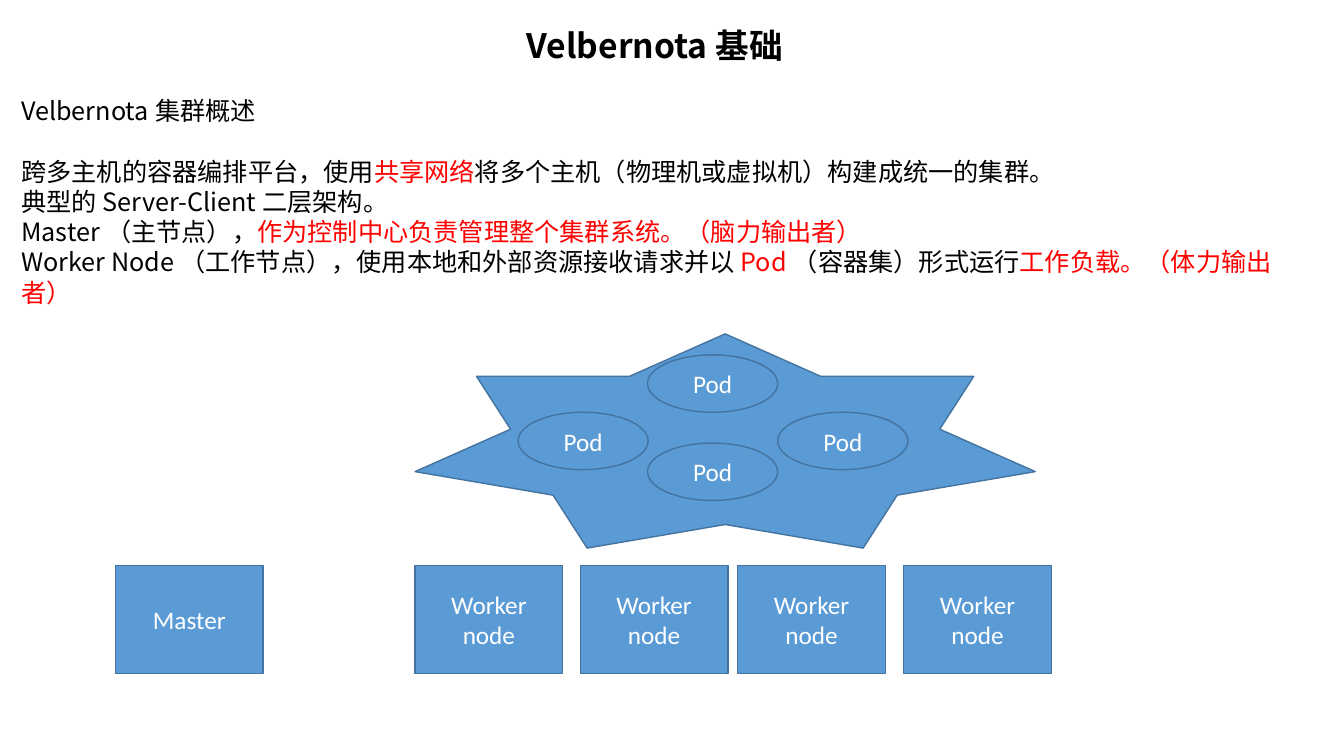
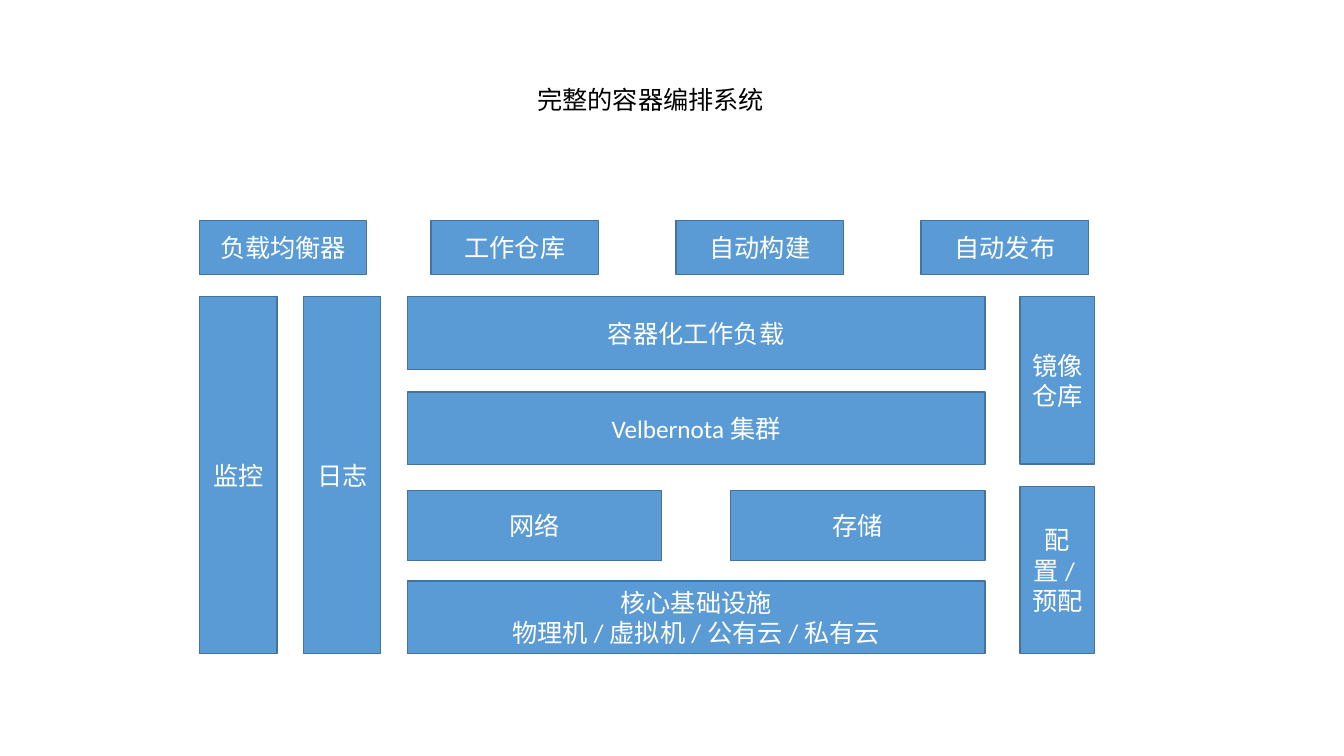
import pptx
import pptx.util
import pptx.dml.color
import pptx.enum.shapes
import pptx.enum.text
import pptx.oxml
from pptx.oxml import ns

Pt = pptx.util.Pt
RGBColor = pptx.dml.color.RGBColor
SHAPE = pptx.enum.shapes.MSO_SHAPE
ALIGN = pptx.enum.text.PP_ALIGN
ANCHOR = pptx.enum.text.MSO_ANCHOR

BLUE = RGBColor(0x5B, 0x9B, 0xD5)
EDGE = RGBColor(0x43, 0x73, 0x9E)
BLACK = RGBColor(0, 0, 0)
WHITE = RGBColor(0xFF, 0xFF, 0xFF)
RED = RGBColor(0xFF, 0, 0)
CJK_FONT = "Noto Sans CJK SC"
LATIN_FONT = "Calibri"
LINE = 21.7  # height of one 18 pt text line

# Each paragraph is a list of runs, alternating black and red.
OVERVIEW = [
    ["Velbernota集群概述"],
    ["跨多主机的容器编排平台，使用", "共享网络",
     "将多个主机（物理机或虚拟机）构建成统一的集群。"],
    ["典型的Server-Client二层架构。"],
    ["Master（主节点），", "作为控制中心负责管理整个集群系统。（脑力输出者）"],
    ["Worker Node（工作节点），使用本地和外部资源接收请求并以", "Pod",
     "（容器集）形式运行", "工作负载。（体力输出者）"],
]

NODE_TOP, NODE_W, NODE_H = 404, 105.5, 77
NODES = [("Master", 82.5)] + [("Worker node", x) for x in (296.5, 414.5, 527, 645.5)]
STAR = (296.5, 238.5, 443, 153)
POD_W, POD_H = 93, 41
PODS = [(370, 294.5), (462.5, 316.5), (462.5, 253.5), (555.5, 294.5)]

TOOL_TOP, TOOL_W, TOOL_H = 157.5, 119.5, 38.5
TOOLS = [("负载均衡器", 142.5)] + [
    (name, 308 + 175 * i)
    for i, name in enumerate(("工作仓库", "自动构建", "自动发布"))]
STACK_TOP, STACK_BOTTOM = 212, 467
STACK_H = STACK_BOTTOM - STACK_TOP
CORE_X, CORE_W, LAYER_H = 291, 412.5, 52
HALF_W = 181.5
SIDE_X, SIDE_W, SIDE_H = 728.5, 53.5, 119.5
BLOCKS = [
    ("监控", 142.5, STACK_TOP, 55.5, STACK_H),
    ("日志", 217, STACK_TOP, 55, STACK_H),
    ("容器化工作负载", CORE_X, STACK_TOP, CORE_W, LAYER_H),
    ("Velbernota集群", CORE_X, 280, CORE_W, LAYER_H),
    ("网络", CORE_X, 350.5, HALF_W, 50),
    ("存储", CORE_X + CORE_W - HALF_W, 350.5, HALF_W, 50),
    ("核心基础设施\n物理机/虚拟机/公有云/私有云",
     CORE_X, STACK_BOTTOM - LAYER_H, CORE_W, LAYER_H),
    ("镜像仓库", SIDE_X, STACK_TOP, SIDE_W, SIDE_H),
    ("配置/预配", SIDE_X, STACK_BOTTOM - SIDE_H, SIDE_W, SIDE_H),
]


def write(tf, text, size=18, bold=False, font=CJK_FONT, colors=(BLACK,),
          align=ALIGN.CENTER, anchor=ANCHOR.TOP):
    """Fill a frame from a string or a list of run lists; colors cycle over runs."""
    tf.word_wrap = True
    tf.auto_size = pptx.enum.text.MSO_AUTO_SIZE.NONE
    tf.vertical_anchor = anchor
    paragraphs = [[t] for t in text.split("\n")] if isinstance(text, str) else text
    for i, runs in enumerate(paragraphs):
        p = tf.add_paragraph() if i else tf.paragraphs[0]
        p.alignment = align
        p.line_spacing = 1.0
        p.space_before = Pt(0)
        for j, piece in enumerate(runs):
            r = p.add_run()
            r.text = piece
            r.font.size, r.font.bold, r.font.name = Pt(size), bold, font
            r.font.color.rgb = colors[j % len(colors)]
            ea = pptx.oxml.parse_xml(
                f'<a:ea {ns.nsdecls("a")} typeface="{CJK_FONT}"/>')
            r.font._element.find(ns.qn("a:latin")).addnext(ea)


def place(sp, x, y, w, h):
    sp.left, sp.top, sp.width, sp.height = Pt(x), Pt(y), Pt(w), Pt(h)


def add_block(s, x, y, w, h, text="", kind=SHAPE.RECTANGLE):
    sp = s.shapes.add_shape(kind, Pt(x), Pt(y), Pt(w), Pt(h))
    sp.shadow.inherit = False
    sp.fill.solid()
    sp.fill.fore_color.rgb = BLUE
    sp.line.color.rgb = EDGE
    sp.line.width = Pt(1)
    if text:
        write(sp.text_frame, text, font=LATIN_FONT, colors=(WHITE,),
              anchor=ANCHOR.MIDDLE)


def add_title(s, text, box, **style):
    place(s.shapes.title, *box)
    write(s.shapes.title.text_frame, text, **style)


def build_basics(prs):
    s = prs.slides.add_slide(prs.slide_layouts[1])
    add_title(s, "Velbernota基础", (8, 14.4, 919.5, 36), size=24, bold=True)

    body = s.placeholders[1]
    place(body, 8, 64.5, 919.5, 160)
    write(body.text_frame, OVERVIEW, colors=(BLACK, RED), align=ALIGN.LEFT)
    for p in body.text_frame.paragraphs:
        pPr = p._p.get_or_add_pPr()
        pPr.set("marL", "0")
        pPr.set("indent", "0")
        pPr.append(pptx.oxml.parse_xml(f'<a:buNone {ns.nsdecls("a")}/>'))
    body.text_frame.paragraphs[1].space_before = Pt(LINE)

    for name, x in NODES:
        add_block(s, x, NODE_TOP, NODE_W, NODE_H, name)
    add_block(s, *STAR, kind=SHAPE.STAR_7_POINT)
    for x, y in PODS:
        add_block(s, x, y, POD_W, POD_H, "Pod", SHAPE.OVAL)


def build_system(prs):
    s = prs.slides.add_slide(prs.slide_layouts[5])
    add_title(s, "完整的容器编排系统", (230.5, 56.5, 468.5, 29))
    for name, x in TOOLS:
        add_block(s, x, TOOL_TOP, TOOL_W, TOOL_H, name)
    for name, *box in BLOCKS:
        add_block(s, *box, name)


def main():
    prs = pptx.Presentation()
    prs.slide_width, prs.slide_height = Pt(960), Pt(540)
    build_basics(prs)
    build_system(prs)
    prs.save("out.pptx")


if __name__ == "__main__":
    main()
